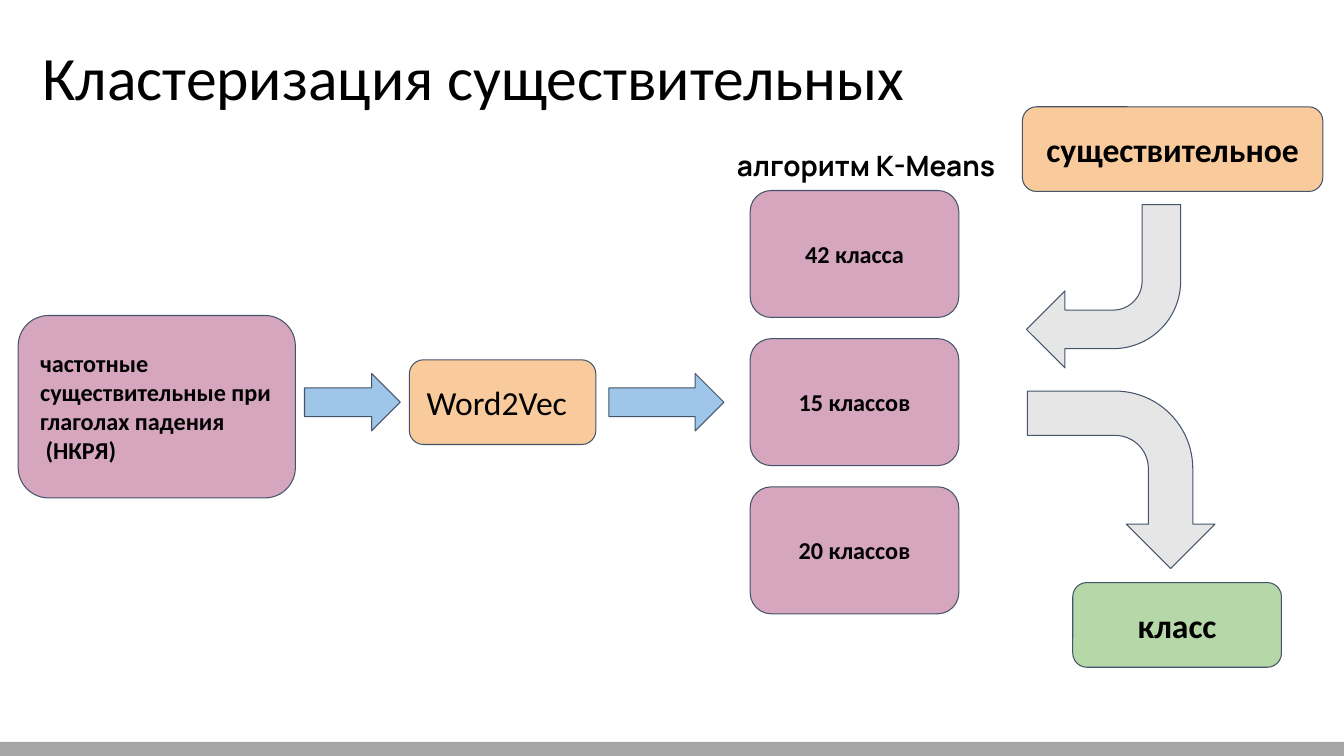
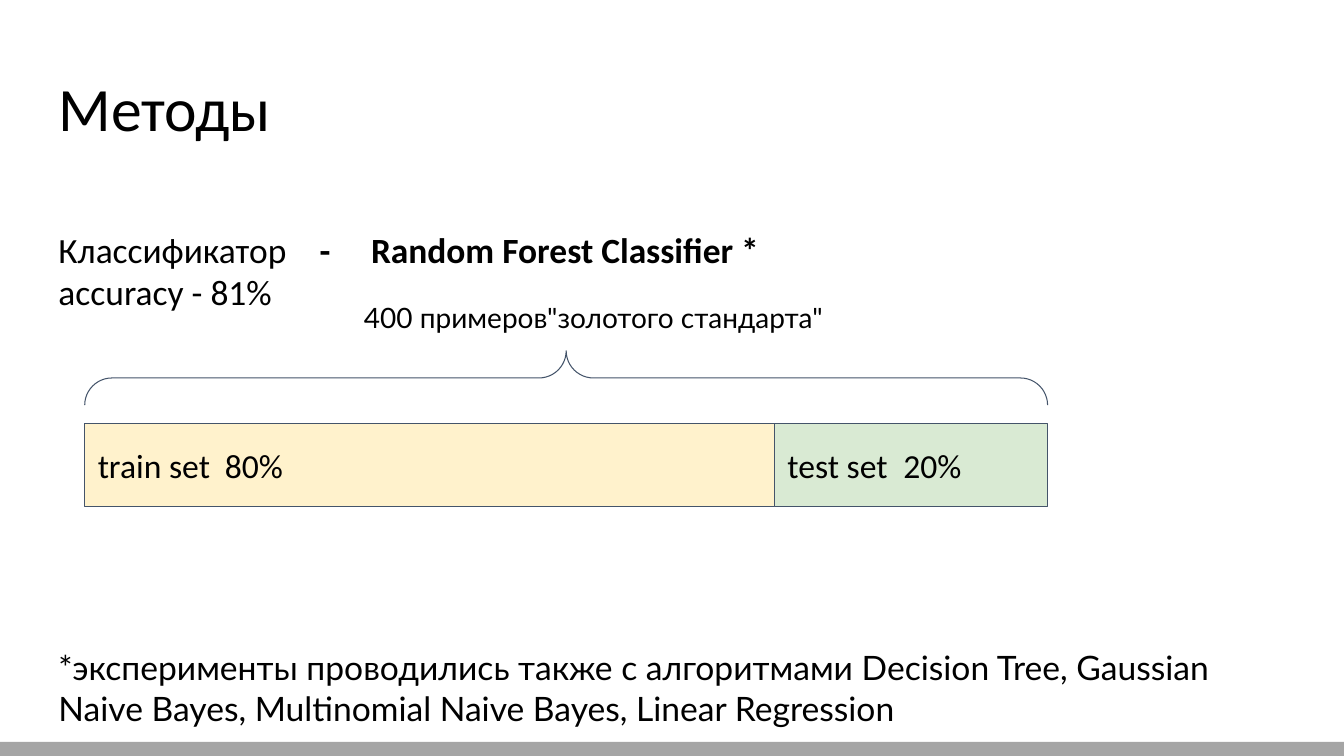
import dataclasses

import pptx
import pptx.dml.color
import pptx.enum.shapes
import pptx.enum.text
import pptx.oxml
import pptx.oxml.ns
import pptx.util

SHAPE = pptx.enum.shapes.MSO_SHAPE
ALIGN = pptx.enum.text.PP_ALIGN
ANCHOR = pptx.enum.text.MSO_ANCHOR
Inches = pptx.util.Inches


@dataclasses.dataclass(frozen=True)
class Theme:
    width: float = 13.33
    height: float = 7.5
    inset: float = 0.13
    band_height: float = 0.14
    band: str = "A5A5A5"
    text: str = "000000"
    outline: str = "44546A"
    outline_width: float = 0.75
    pink: str = "D5A6BD"
    orange: str = "F9CB9C"
    green: str = "B6D7A8"
    blue: str = "9FC5E8"
    gray: str = "E7E6E6"
    pale_yellow: str = "FFF2CC"
    pale_green: str = "D9EAD3"
    font: str = "Calibri"
    note_font: str = "Lato"
    algorithm_font: str = "Manrope"
    title_size: float = 44
    body_size: float = 25.3
    label_size: float = 24
    caption_size: float = 20
    small_size: float = 17.3


THEME = Theme()

# Clustering: the flow runs from left to right
CLUSTERING_TITLE = "Кластеризация существительных"
SOURCE_TEXT = "частотные существительные при глаголах падения\v (НКРЯ)"
MODEL_TEXT = "Word2Vec"
ALGORITHM_TEXT = "алгоритм K-Means"
CLASS_COUNTS = ["42 классa", "15 классов", "20 классов"]
INPUT_TEXT = "существительное"
OUTPUT_TEXT = "класс"

FLOW_AXIS = 3.99
FLOW_ARROWS = [(3.02, 0.95), (6.04, 1.14)]  # left, width
FLOW_ARROW_HEIGHT = 0.57
LABEL_BOX_HEIGHT = 0.84
CLASS_LEFT, CLASS_WIDTH, CLASS_HEIGHT, CLASS_GAP = 7.44, 2.07, 1.26, 0.21
BENT_ARROWS = [((10.18, 2.03, 1.53, 1.62), 180), ((10.24, 3.83, 1.76, 1.86), 90)]

# Methods: one bar split into train and test parts
METHODS_TITLE = "Методы"
CLASSIFIER_LINES = [
    [("Классификатор", False), ("\t-\tRandom Forest Classifier *", True)],
    [("accuracy - 81%", False)],
]
CLASSIFIER_TABS = [2.59, 3.1]
SAMPLE_TEXT = ' 400 примеров"золотого стандарта"'.strip()
FOOTNOTE = ("*эксперименты проводились также с алгоритмами Decision Tree, Gaussian "
            "Naive Bayes, Multinomial Naive Bayes, Linear Regression")
SETS = [  # text, width, tab stop, fill
    ("train set\t80%", 6.84, 1.26, THEME.pale_yellow),
    ("test set\t20%", 2.71, 1.15, THEME.pale_green),
]
BAR_LEFT, BAR_TOP, BAR_HEIGHT = 0.84, 4.2, 0.83
BRACE_CENTER, BRACE_DEPTH = 3.75, 0.54
MARGIN = 0.45


def rgb(value):
    return pptx.dml.color.RGBColor.from_string(value)


def style_font(font, size, bold=False, name=THEME.font):
    font.name, font.size, font.bold = name, pptx.util.Pt(size), bold
    font.color.rgb = rgb(THEME.text)


def add_tabs(para, stops):
    tab_list = pptx.oxml.parse_xml(f"<a:tabLst {pptx.oxml.ns.nsdecls('a')}/>")
    for stop in stops:
        tab = pptx.oxml.parse_xml(f"<a:tab {pptx.oxml.ns.nsdecls('a')}/>")
        tab.set("pos", str(Inches(stop)))
        tab.set("algn", "l")
        tab_list.append(tab)
    para._p.get_or_add_pPr().append(tab_list)


def prepare_frame(box, anchor=ANCHOR.TOP):
    frame = box.text_frame
    frame.word_wrap = True
    frame.vertical_anchor = anchor
    frame.margin_left = frame.margin_right = Inches(THEME.inset)
    frame.margin_top = frame.margin_bottom = Inches(THEME.inset)
    return frame


def write(frame, text, size, bold=False, name=THEME.font, align=ALIGN.LEFT, tabs=()):
    frame.text = text
    para = frame.paragraphs[0]
    para.alignment = align
    if tabs:
        add_tabs(para, tabs)
    for span in para.runs:
        style_font(span.font, size, bold, name)
    return para


def add_text(slide, area, text, size, **style):
    box = slide.shapes.add_textbox(*map(Inches, area))
    return write(prepare_frame(box), text, size, **style)


def add_figure(slide, kind, area, fill=None, rotation=0):
    """Add an outlined preset shape, filled when a colour is given."""
    figure = slide.shapes.add_shape(kind, *map(Inches, area))
    figure.shadow.inherit = False
    figure.rotation = rotation
    if fill:
        figure.fill.solid()
        figure.fill.fore_color.rgb = rgb(fill)
    else:
        figure.fill.background()
    figure.line.color.rgb = rgb(THEME.outline)
    figure.line.width = pptx.util.Pt(THEME.outline_width)
    return figure


def add_label(slide, area, text, fill, size, kind=SHAPE.ROUNDED_RECTANGLE, **style):
    box = add_figure(slide, kind, area, fill)
    write(prepare_frame(box, ANCHOR.MIDDLE), text, size, **style)


def add_page(deck, title, left, top):
    """Add a blank page with the shared bottom band and title."""
    page = deck.slides.add_slide(deck.slide_layouts[6])
    band_top = THEME.height - THEME.band_height
    band = add_figure(page, SHAPE.RECTANGLE,
                      (0, band_top, THEME.width, THEME.band_height), THEME.band)
    band.line.fill.background()
    para = add_text(page, (left, top, 12.42, 0.91), title, THEME.title_size)
    para.line_spacing = 0.9
    return page


def build_clustering(deck):
    page = add_page(deck, CLUSTERING_TITLE, 0.29, 0.34)
    add_label(page, (0.18, 3.13, 2.75, 1.81), SOURCE_TEXT, THEME.pink,
              THEME.small_size, bold=True)
    add_label(page, (4.06, FLOW_AXIS - LABEL_BOX_HEIGHT / 2, 1.85, LABEL_BOX_HEIGHT),
              MODEL_TEXT, THEME.orange, THEME.label_size)
    for left, width in FLOW_ARROWS:
        top = FLOW_AXIS - FLOW_ARROW_HEIGHT / 2
        add_figure(page, SHAPE.RIGHT_ARROW, (left, top, width, FLOW_ARROW_HEIGHT),
                   THEME.blue)

    add_text(page, (7.18, 1.34, 2.96, 0.69), ALGORITHM_TEXT, THEME.caption_size,
             bold=True, name=THEME.algorithm_font)
    pitch = CLASS_HEIGHT + CLASS_GAP
    first_center = FLOW_AXIS - pitch * (len(CLASS_COUNTS) - 1) / 2
    for row, text in enumerate(CLASS_COUNTS):
        top = first_center + row * pitch - CLASS_HEIGHT / 2
        add_label(page, (CLASS_LEFT, top, CLASS_WIDTH, CLASS_HEIGHT), text,
                  THEME.pink, THEME.small_size, bold=True, align=ALIGN.CENTER)

    for left, top, width, text, fill in [
        (10.14, 1.06, 2.98, INPUT_TEXT, THEME.orange),
        (10.64, 5.78, CLASS_WIDTH, OUTPUT_TEXT, THEME.green),
    ]:
        add_label(page, (left, top, width, LABEL_BOX_HEIGHT), text, fill,
                  THEME.label_size, bold=True, align=ALIGN.CENTER)
    for area, rotation in BENT_ARROWS:
        add_figure(page, SHAPE.BENT_ARROW, area, THEME.gray, rotation)


def build_methods(deck):
    page = add_page(deck, METHODS_TITLE, MARGIN, 0.65)
    body = page.shapes.add_textbox(*map(Inches, (MARGIN, 2.13, 12.42, 1)))
    frame = prepare_frame(body)
    for index, line in enumerate(CLASSIFIER_LINES):
        para = frame.add_paragraph() if index else frame.paragraphs[0]
        add_tabs(para, CLASSIFIER_TABS)
        for text, bold in line:
            span = para.add_run()
            span.text = text
            style_font(span.font, THEME.body_size, bold)

    left = BAR_LEFT
    for text, width, tab, fill in SETS:
        add_label(page, (left, BAR_TOP, width, BAR_HEIGHT), text, fill,
                  THEME.label_size, kind=SHAPE.RECTANGLE, tabs=[tab])
        left += width

    # The brace is turned upright, so its length is its height before rotation
    length = left - BAR_LEFT
    brace = add_figure(page, SHAPE.LEFT_BRACE,
                       ((BAR_LEFT + left - BRACE_DEPTH) / 2, BRACE_CENTER - length / 2,
                        BRACE_DEPTH, length), rotation=90)
    brace.adjustments[0] = brace.adjustments[1] = 0.5

    add_text(page, (3.48, 2.85, 4.86, 0.6), SAMPLE_TEXT, THEME.caption_size,
             name=THEME.note_font)
    add_text(page, (MARGIN, 6.29, 12.08, 1.06), FOOTNOTE, THEME.label_size,
             name=THEME.note_font)


def main():
    deck = pptx.Presentation()
    deck.slide_width = Inches(THEME.width)
    deck.slide_height = Inches(THEME.height)
    build_clustering(deck)
    build_methods(deck)
    deck.save("out.pptx")


if __name__ == "__main__":
    main()
